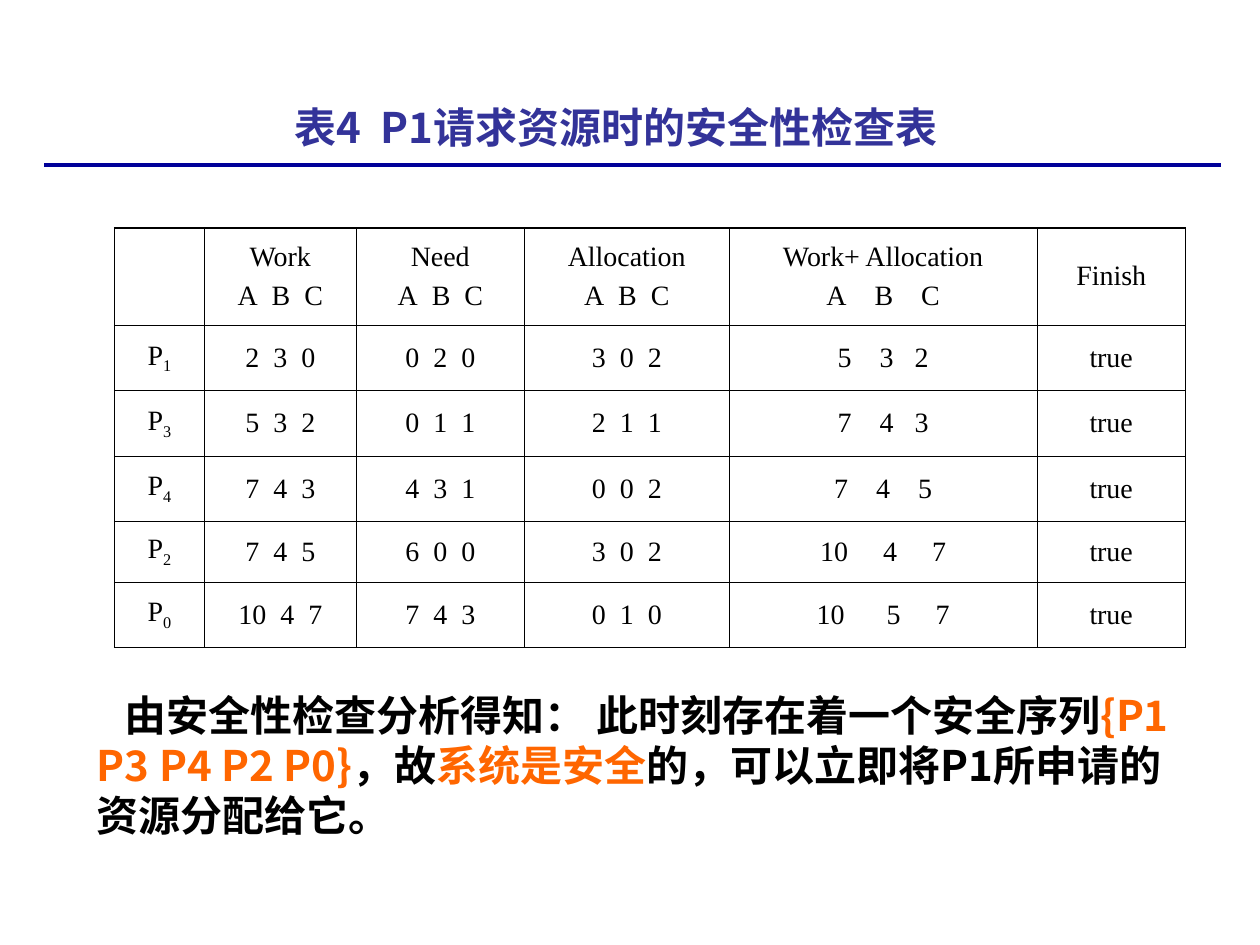
"""Build the safety check slide for the resource request of process P1."""
from dataclasses import dataclass
from itertools import product
from typing import NamedTuple

from lxml.etree import SubElement
from pptx import Presentation
from pptx.dml.color import RGBColor
from pptx.enum.shapes import MSO_CONNECTOR
from pptx.enum.text import MSO_ANCHOR, PP_ALIGN
from pptx.oxml import parse_xml
from pptx.oxml.ns import nsdecls, qn
from pptx.util import Inches, Pt


@dataclass(frozen=True)
class Theme:
    black: str = "000000"
    title: str = "333399"
    rule: str = "000099"
    accent: str = "FF6600"
    text_font: str = "Noto Sans CJK SC"
    table_font: str = "Times New Roman"
    text_size: int = 24
    table_size: int = 16
    outer_border: float = 1.08
    inner_border: float = 0.45


class Piece(NamedTuple):
    text: str
    color: str = "000000"
    baseline: int = 0
    spacing: float = 0


class Check(NamedTuple):
    process: str
    work: str
    need: str
    allocation: str
    total: str
    total_gaps: tuple[int, int]


THEME = Theme()
COLUMN_WIDTHS = (0.71, 1.21, 1.33, 1.63, 2.44, 1.18)
ROW_HEIGHTS = (0.77, 0.52, 0.52, 0.52, 0.48, 0.52)
NARROW_GAPS = (4, 4)
HEADINGS = ("Work", "Need", "Allocation", "Work+ Allocation")
CHECKS = (
    Check("1", "2 3 0", "0 2 0", "3 0 2", "5 3 2", (12, 8)),
    Check("3", "5 3 2", "0 1 1", "2 1 1", "7 4 3", (12, 8)),
    Check("4", "7 4 3", "4 3 1", "0 0 2", "7 4 5", (12, 12)),
    Check("2", "7 4 5", "6 0 0", "3 0 2", "10 4 7", (16, 16)),
    Check("0", "10 4 7", "7 4 3", "0 1 0", "10 5 7", (20, 16)),
)


def write_pieces(paragraph, pieces: list[Piece], font_name: str, size: int, bold: bool) -> None:
    """Add runs to a paragraph, with optional subscripts and widened spaces."""
    for piece in pieces:
        run = paragraph.add_run()
        run.text = piece.text
        values = {"name": font_name, "size": Pt(size), "bold": bold}
        for name, value in values.items():
            setattr(run.font, name, value)
        run.font.color.rgb = RGBColor.from_string(piece.color)
        properties = run._r.get_or_add_rPr()
        SubElement(properties, qn("a:ea"), typeface=font_name)
        if piece.baseline:
            properties.set("baseline", str(piece.baseline * 1000))
        if piece.spacing:
            properties.set("spc", str(round(piece.spacing * 100)))


def spread(text: str, gaps: tuple[int, int] = NARROW_GAPS) -> list[Piece]:
    """Split three values into pieces joined by widened spaces."""
    first, second, third = text.split()
    return [Piece(first), Piece(" ", spacing=gaps[0]), Piece(second),
            Piece(" ", spacing=gaps[1]), Piece(third)]


def add_text(slide, left: float, top: float, width: float, height: float,
             pieces: list[Piece], indent: float = 0) -> None:
    """Add a wrapped bold text box."""
    frame = slide.shapes.add_textbox(
        Inches(left), Inches(top), Inches(width), Inches(height)).text_frame
    frame.word_wrap = True
    paragraph = frame.paragraphs[0]
    paragraph._p.get_or_add_pPr().set("indent", str(Inches(indent)))
    write_pieces(paragraph, pieces, THEME.text_font, THEME.text_size, True)


def add_rule(slide) -> None:
    """Draw the line below the title."""
    rule = slide.shapes.add_connector(
        MSO_CONNECTOR.STRAIGHT, Inches(0.35), Inches(1.31), Inches(9.69), Inches(1.31))
    rule.line.color.rgb = RGBColor.from_string(THEME.rule)
    rule.line.width = Pt(2.5)
    SubElement(rule._element.spPr, qn("a:effectLst"))


def set_borders(cell, row: int, column: int) -> None:
    """Draw thick borders on the table edge and thin ones inside."""
    outer = {"L": column == 0, "R": column == len(COLUMN_WIDTHS) - 1,
             "T": row == 0, "B": row == len(ROW_HEIGHTS) - 1}
    for index, (side, is_outer) in enumerate(outer.items()):
        width = Pt(THEME.outer_border if is_outer else THEME.inner_border)
        cell._tc.get_or_add_tcPr().insert(index, parse_xml(
            f'<a:ln{side} {nsdecls("a")} w="{width}"><a:solidFill>'
            f'<a:srgbClr val="{THEME.black}"/></a:solidFill></a:ln{side}>'))


def fill_cell(cell, lines: list[list[Piece]]) -> None:
    """Write centred lines into a cell."""
    cell.vertical_anchor = MSO_ANCHOR.MIDDLE
    for index, pieces in enumerate(lines):
        frame = cell.text_frame
        paragraph = frame.add_paragraph() if index else frame.paragraphs[0]
        values = {"alignment": PP_ALIGN.CENTER, "space_before": Pt(4 if index else 0)}
        for name, value in values.items():
            setattr(paragraph, name, value)
        write_pieces(paragraph, pieces, THEME.table_font, THEME.table_size, False)


def table_rows() -> list[list[list[list[Piece]]]]:
    """Return the lines of every cell, row by row."""
    header = [[[Piece(heading)], spread("A B C", (12, 12) if "+" in heading else NARROW_GAPS)]
              for heading in HEADINGS]
    rows = [[[], *header, [[Piece("Finish")]]]]
    for check in CHECKS:
        rows.append([
            [[Piece("P"), Piece(check.process, baseline=-25)]],
            *([spread(text)] for text in (check.work, check.need, check.allocation)),
            [spread(check.total, check.total_gaps)],
            [[Piece("true")]],
        ])
    return rows


def add_check_table(slide) -> None:
    """Add the safety check table."""
    table = slide.shapes.add_table(
        len(ROW_HEIGHTS), len(COLUMN_WIDTHS), Inches(0.91), Inches(1.81),
        Inches(sum(COLUMN_WIDTHS)), Inches(sum(ROW_HEIGHTS))).table
    table.first_row = table.horz_banding = False
    for column, width in zip(table.columns, COLUMN_WIDTHS):
        column.width = Inches(width)
    for row, height in zip(table.rows, ROW_HEIGHTS):
        row.height = Inches(height)
    contents = table_rows()
    for row, column in product(range(len(ROW_HEIGHTS)), range(len(COLUMN_WIDTHS))):
        cell = table.cell(row, column)
        cell.fill.background()
        set_borders(cell, row, column)
        fill_cell(cell, contents[row][column])


def main() -> None:
    """Build and save the presentation."""
    presentation = Presentation()
    presentation.slide_width, presentation.slide_height = Inches(10), Inches(7.5)
    slide = presentation.slides.add_slide(presentation.slide_layouts[6])
    add_rule(slide)
    add_check_table(slide)
    add_text(slide, 2.24, 0.76, 6.28, 0.5, [
        Piece("表4", THEME.title), Piece(" ", THEME.title, spacing=5.4),
        Piece("P1请求资源时的安全性检查表", THEME.title)])
    add_text(slide, 0.67, 5.42, 8.82, 1.54, [
        Piece("由安全性检查分析得知： 此时刻存在着一个安全序列"),
        Piece("{P1 P3 P4 P2 P0}", THEME.accent), Piece("，故"),
        Piece("系统是安全", THEME.accent),
        Piece("的，可以立即将P1所申请的资源分配给它。")], indent=0.22)
    presentation.save("out.pptx")


if __name__ == "__main__":
    main()
